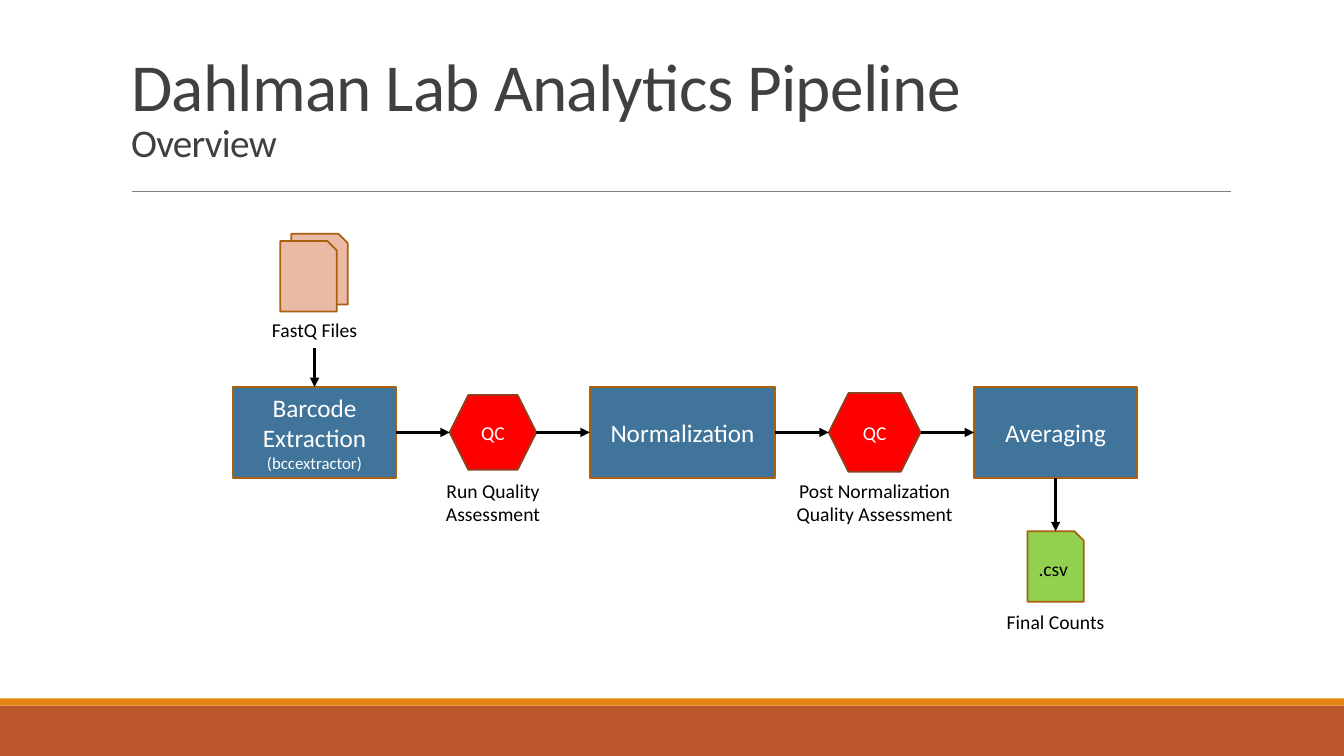
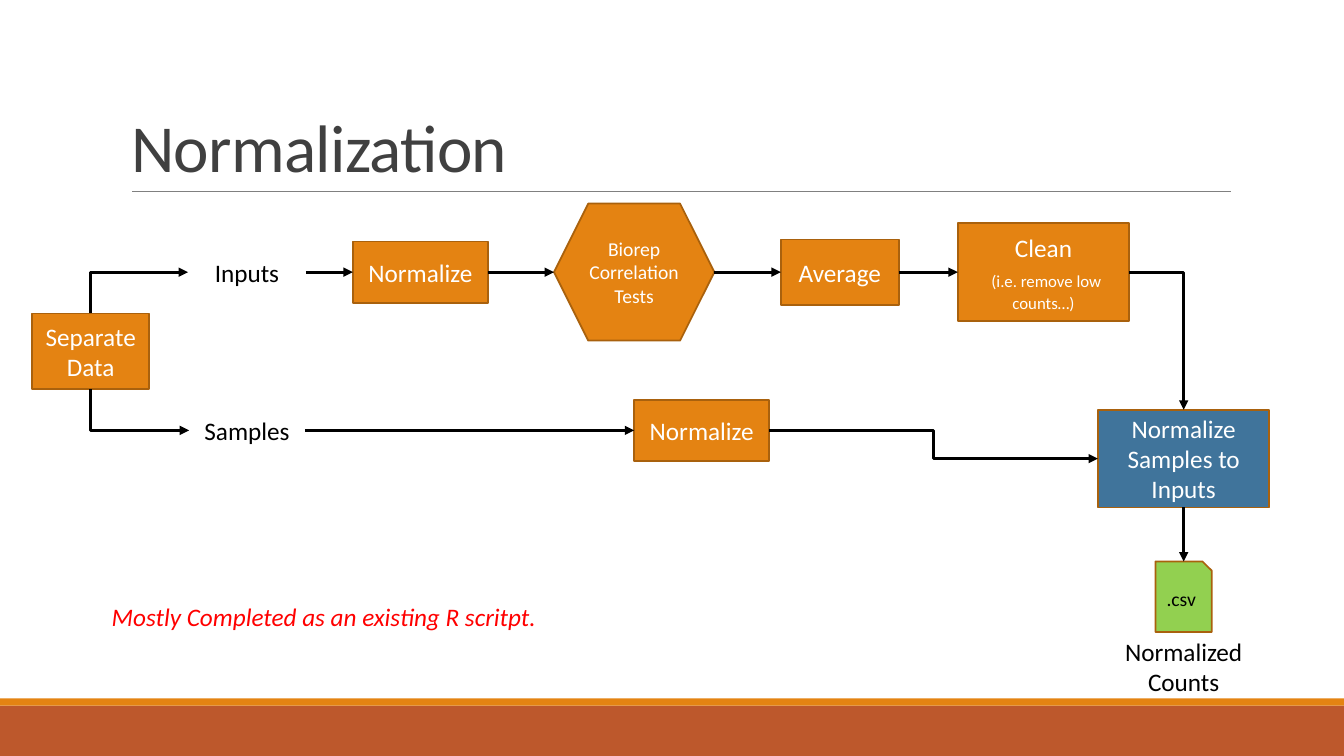
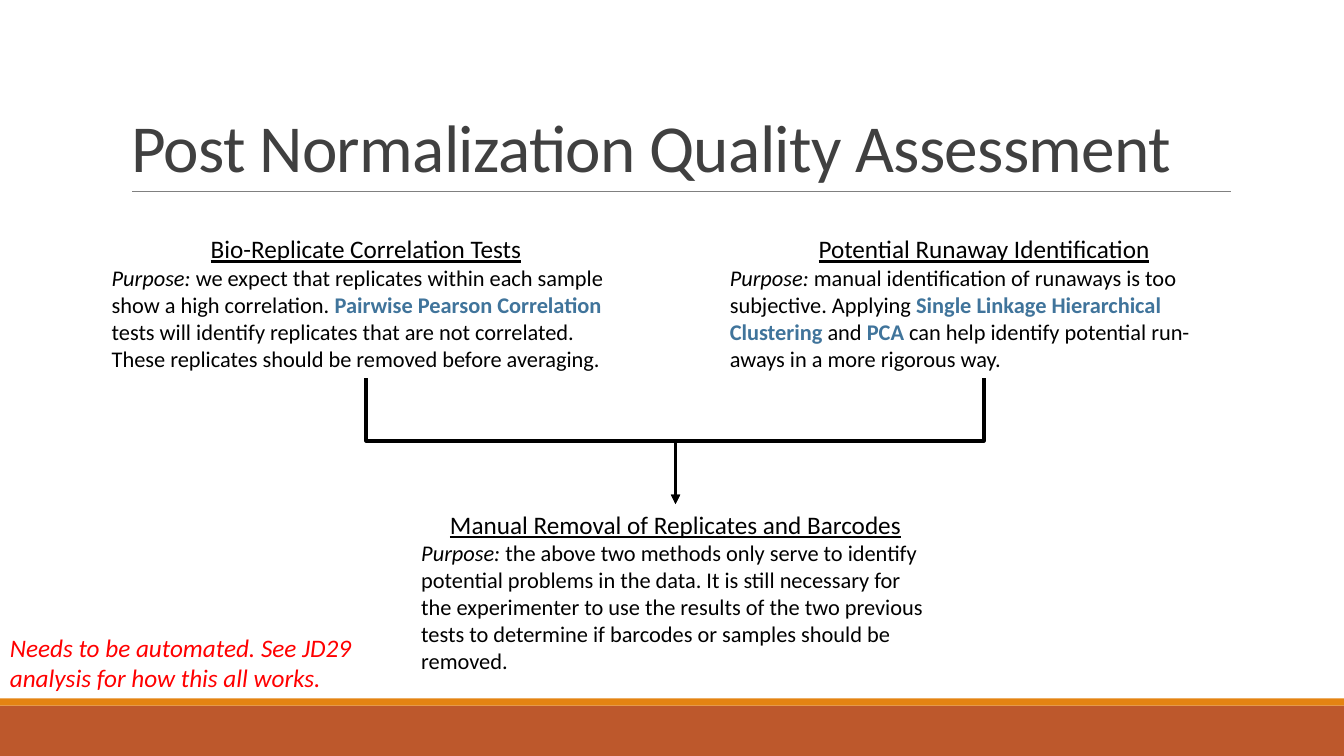
from dataclasses import dataclass
from typing import Optional

import pptx
import pptx.dml.color
import pptx.enum.shapes
import pptx.enum.text
import pptx.oxml.ns
import pptx.oxml.xmlchemy
import pptx.util
from lxml import etree

Inches, Pt = pptx.util.Inches, pptx.util.Pt
RGBColor = pptx.dml.color.RGBColor
Geometry = pptx.enum.shapes.MSO_SHAPE
Connector = pptx.enum.shapes.MSO_CONNECTOR
Align = pptx.enum.text.PP_ALIGN
Anchor = pptx.enum.text.MSO_ANCHOR
AutoSize = pptx.enum.text.MSO_AUTO_SIZE
qn = pptx.oxml.ns.qn

# Shared colours and font
RUST = RGBColor(0xBD, 0x58, 0x2C)
ORANGE = RGBColor(0xE4, 0x83, 0x12)
BROWN = RGBColor(0xA9, 0x61, 0x0D)
DARK_BROWN = RGBColor(0x8C, 0x41, 0x21)
PEACH = RGBColor(0xEA, 0xBA, 0xA5)
BLUE = RGBColor(0x40, 0x74, 0x9B)
RED = RGBColor(0xFF, 0x00, 0x00)
GREEN = RGBColor(0x92, 0xD0, 0x50)
GREY = RGBColor(0x80, 0x80, 0x80)
CHARCOAL = RGBColor(0x40, 0x40, 0x40)
BLACK = RGBColor(0x00, 0x00, 0x00)
WHITE = RGBColor(0xFF, 0xFF, 0xFF)
FONT = "Calibri"

# Connection sites of a rectangle
TOP, LEFT, BOTTOM, RIGHT = range(4)

Box = tuple[float, float, float, float]


@dataclass(frozen=True)
class Run:
    text: str
    size: float = 18
    color: Optional[RGBColor] = None
    bold: bool = False
    italic: bool = False
    underline: bool = False


@dataclass(frozen=True)
class Paragraph:
    runs: tuple[Run, ...]
    align: Align = Align.CENTER


@dataclass(frozen=True)
class Look:
    geometry: Optional[Geometry] = None  # None is a plain text box
    fill: Optional[RGBColor] = None
    line: RGBColor = BROWN
    ink: RGBColor = BLACK


LABEL = Look()
NOTE = Look(ink=RED)
STAGE = Look(Geometry.RECTANGLE, BLUE, ink=WHITE)
STEP = Look(Geometry.RECTANGLE, ORANGE, ink=WHITE)
CHECK = Look(Geometry.HEXAGON, RED, DARK_BROWN, WHITE)
TEST = Look(Geometry.HEXAGON, ORANGE, ink=WHITE)
READS_FILE = Look(Geometry.SNIP_1_RECTANGLE, PEACH)
COUNTS_FILE = Look(Geometry.SNIP_1_RECTANGLE, GREEN)


def centred(x: float, y: float, width: float, height: float) -> Box:
    return x - width / 2, y - height / 2, width, height


def lines(*texts: str, size: float = 18) -> tuple[Paragraph, ...]:
    return tuple(Paragraph((Run(text, size),)) for text in texts)


def write(paragraph, text: str, *, size: float, color: RGBColor, bold: bool = False,
          italic: bool = False, underline: bool = False, spacing: float = 0) -> None:
    run = paragraph.add_run()
    run.text = text
    font = run.font
    font.name, font.size = FONT, Pt(size)
    font.bold, font.italic, font.underline = bold, italic, underline
    font.color.rgb = color
    if spacing:
        run.font._element.set("spc", str(round(spacing * 100)))


def draw(slide, look: Look, box: Box, paragraphs: tuple[Paragraph, ...] = (),
         wrap: bool = True):
    """Draw one box, hexagon, file or label with its text."""
    place = [Inches(value) for value in box]
    if look.geometry is None:
        node = slide.shapes.add_textbox(*place)
    else:
        node = slide.shapes.add_shape(look.geometry, *place)
        node.shadow.inherit = False
        node.fill.solid()
        node.fill.fore_color.rgb = look.fill
        node.line.color.rgb = look.line
        node.line.width = Pt(1.25)
        node.text_frame.vertical_anchor = Anchor.MIDDLE
    frame = node.text_frame
    frame.word_wrap = wrap
    for index, content in enumerate(paragraphs):
        paragraph = frame.add_paragraph() if index else frame.paragraphs[0]
        paragraph.alignment = content.align
        for run in content.runs:
            write(paragraph, run.text, size=run.size, color=run.color or look.ink,
                  bold=run.bold, italic=run.italic, underline=run.underline)
    return node


def side_point(node, side: int) -> tuple[int, int]:
    x = {LEFT: node.left, RIGHT: node.left + node.width}
    y = {TOP: node.top, BOTTOM: node.top + node.height}
    return (x.get(side, node.left + node.width // 2),
            y.get(side, node.top + node.height // 2))


def is_rectangle(node) -> bool:
    return (node.shape_type == pptx.enum.shapes.MSO_SHAPE_TYPE.TEXT_BOX
            or node.auto_shape_type == Geometry.RECTANGLE)


def style_line(connector, color: RGBColor, width: float, arrow: bool) -> None:
    connector.line.color.rgb = color
    connector.line.width = Pt(width)
    properties = connector.element.spPr
    if arrow:
        etree.SubElement(properties.find(qn("a:ln")), qn("a:tailEnd"), type="triangle")
    etree.SubElement(properties, qn("a:effectLst"))


def turn(connector) -> None:
    """Rotate an elbow a quarter turn so that it leaves vertically."""
    dx = connector.end_x - connector.begin_x
    dy = connector.end_y - connector.begin_y
    x = (connector.begin_x + connector.end_x) // 2
    y = (connector.begin_y + connector.end_y) // 2
    angle, across, down = (270, -dy, dx) if dx > 0 else (90, dy, -dx)
    connector.begin_x, connector.end_x = x - across // 2, x + across // 2
    connector.begin_y, connector.end_y = y - down // 2, y + down // 2
    connector.element.spPr.find(qn("a:xfrm")).set("rot", str(angle * 60000))


def link(slide, source, source_side: int, target, target_side: int,
         corners: int = 0) -> None:
    """Draw an arrow between two sides, with zero, one or two corners."""
    kind = Connector.ELBOW if corners else Connector.STRAIGHT
    arrow = slide.shapes.add_connector(kind, *side_point(source, source_side),
                                       *side_point(target, target_side))
    if is_rectangle(source):
        arrow.begin_connect(source, source_side)
    if is_rectangle(target):
        arrow.end_connect(target, target_side)
    if corners == 1:
        arrow.element.spPr.find(qn("a:prstGeom")).set("prst", "bentConnector2")
    if corners and source_side in (TOP, BOTTOM):
        turn(arrow)
    style_line(arrow, BLACK, 2.25, arrow=True)


def dress_layout(layout, slide) -> None:
    """Put the bands, the title rule and the title position on the layout."""
    title = layout.placeholders[0]
    title.left, title.top, title.width, title.height = map(Inches, (1.2, 0.31, 11, 1.59))
    parts = []
    for color, top, height in ((RUST, 7, 0.5), (ORANGE, 6.93, 0.07)):
        band = slide.shapes.add_shape(Geometry.RECTANGLE, 0, Inches(top),
                                      Inches(13.33), Inches(height))
        band.shadow.inherit = False
        band.fill.solid()
        band.fill.fore_color.rgb = color
        band.line.fill.background()
        parts.append(band)
    rule = slide.shapes.add_connector(Connector.STRAIGHT, Inches(1.31), Inches(1.9),
                                      Inches(12.21), Inches(1.9))
    style_line(rule, GREY, 0.5, arrow=False)
    parts.append(rule)
    for index, part in enumerate(parts):
        part.element.xpath(".//p:cNvPr")[0].set("id", str(101 + index))
        layout.shapes.element.insert(2 + index, part.element)


def set_title(slide, text: str, subtitle: str = "") -> None:
    frame = slide.shapes.title.text_frame
    frame.auto_size = AutoSize.NONE
    frame.word_wrap = True
    frame.vertical_anchor = Anchor.MIDDLE if subtitle else Anchor.BOTTOM
    paragraph = frame.paragraphs[0]
    paragraph.alignment = Align.LEFT
    paragraph.line_spacing = 0.85
    write(paragraph, text, size=48, color=CHARCOAL, spacing=-0.5)
    if subtitle:
        paragraph.add_line_break()
        write(paragraph, subtitle, size=28, color=CHARCOAL, spacing=-0.5)


def draw_overview(slide) -> None:
    set_title(slide, "Dahlman Lab Analytics Pipeline", "Overview")
    row, gap, left = 4.29, 0.53, 2.31
    stages = (
        (STAGE, 1.62, 0.9, lines("Barcode Extraction") + lines("(bccextractor)", size=12)),
        (CHECK, 0.86, 0.74, lines("QC", size=14)),
        (STAGE, 1.84, 0.9, lines("Normalization")),
        (CHECK, 0.91, 0.78, lines("QC", size=14)),
        (STAGE, 1.62, 0.9, lines("Averaging")),
    )
    # Main row, evenly spaced and linked left to right
    nodes, centres = [], []
    for look, width, height, text in stages:
        centres.append(left + width / 2)
        nodes.append(draw(slide, look, centred(centres[-1], row, width, height), text))
        left += width + gap
    for source, target in zip(nodes, nodes[1:]):
        link(slide, source, RIGHT, target, LEFT)

    # Input files
    for x, y in ((2.89, 2.32), (2.78, 2.39)):
        draw(slide, READS_FILE, (x, y, 0.56, 0.7))
    fastq = draw(slide, LABEL, centred(centres[0], 3.28, 1.55, 0.34),
                 lines("FastQ Files", size=14))
    link(slide, fastq, BOTTOM, nodes[0], TOP)

    # Captions under the quality checks
    for x, width, text in ((centres[1], 1.15, ("Run Quality", "Assessment")),
                           (centres[3], 1.81, ("Post Normalization", "Quality Assessment"))):
        draw(slide, LABEL, (x - width / 2, 4.7, width, 0.57), lines(*text, size=14),
             wrap=False)

    # Result file
    counts = draw(slide, COUNTS_FILE, centred(centres[4], 5.62, 0.56, 0.7),
                  lines(".csv", size=14))
    link(slide, nodes[4], BOTTOM, counts, TOP)
    draw(slide, LABEL, centred(centres[4], 6.17, 1.55, 0.34),
         lines("Final Counts", size=14))


def draw_normalization(slide) -> None:
    set_title(slide, "Normalization")
    input_row, sample_row, result_x = 2.7, 4.27, 11.74
    separate = draw(slide, STEP, (0.32, 3.11, 1.16, 0.75), lines("Separate", "Data"))

    # Input branch
    clean_text = lines("Clean") + (
        Paragraph((Run(" "), Run("(i.e. remove low counts…)", 12))),)
    branch = [draw(slide, look, centred(x, input_row, width, height), text)
              for look, x, width, height, text in (
                  (LABEL, 2.45, 1.17, 0.4, lines("Inputs")),
                  (STEP, 4.17, 1.34, 0.61, lines("Normalize")),
                  (TEST, 6.29, 1.59, 1.36, lines("Biorep Correlation Tests", size=14)),
                  (STEP, 8.33, 1.17, 0.65, lines("Average")),
                  (STEP, 10.35, 1.7, 0.97, clean_text))]
    for source, target in zip(branch, branch[1:]):
        link(slide, source, RIGHT, target, LEFT)

    # Sample branch
    samples = draw(slide, LABEL, centred(2.45, sample_row, 1.15, 0.4), lines("Samples"))
    normalize = draw(slide, STEP, centred(6.96, sample_row, 1.34, 0.61),
                     lines("Normalize"))
    link(slide, samples, RIGHT, normalize, LEFT)
    link(slide, separate, TOP, branch[0], LEFT, corners=1)
    link(slide, separate, BOTTOM, samples, LEFT, corners=1)

    # Branches meet
    combine = draw(slide, STAGE, centred(result_x, 4.55, 1.7, 0.97),
                   lines("Normalize Samples to Inputs"))
    link(slide, normalize, RIGHT, combine, LEFT, corners=2)
    link(slide, branch[-1], RIGHT, combine, TOP, corners=1)
    counts = draw(slide, COUNTS_FILE, centred(result_x, 5.92, 0.56, 0.7),
                  lines(".csv", size=14))
    link(slide, combine, BOTTOM, counts, TOP)
    draw(slide, LABEL, centred(result_x, 6.62, 1.64, 0.71), lines("Normalized Counts"))

    draw(slide, NOTE, (1.01, 5.92, 4.7, 0.4), (Paragraph(
        (Run("Mostly Completed as an existing R scritpt.", italic=True),), Align.LEFT),))


def purpose(heading: str, *runs: Run) -> tuple[Paragraph, ...]:
    return (Paragraph((Run(heading, underline=True),)),
            Paragraph((Run("Purpose: ", 16, italic=True),) + runs, Align.LEFT))


def plain(text: str) -> Run:
    return Run(text, 16)


def method(text: str) -> Run:
    return Run(text, 16, BLUE, bold=True)


def draw_assessment(slide) -> None:
    set_title(slide, "Post Normalization Quality Assessment")
    width = 5.24
    correlation = draw(slide, LABEL, (1.01, 2.27, width, 1.48), purpose(
        "Bio-Replicate Correlation Tests",
        plain("we expect that replicates within each sample show a high correlation. "),
        method("Pairwise Pearson Correlation "),
        plain("tests will identify replicates that are not correlated. "
              "These replicates should be removed before averaging.")))
    runaways = draw(slide, LABEL, (7.14, 2.27, width, 1.48), purpose(
        "Potential Runaway Identification",
        plain("manual identification of runaways is too subjective. Applying "),
        method("Single Linkage Hierarchical Clustering"),
        plain(" and "),
        method("PCA"),
        plain(" can help identify potential run-aways in a more rigorous way.")))
    removal = draw(slide, LABEL, (4.08, 5, width, 1.75), purpose(
        "Manual Removal of Replicates and Barcodes",
        plain("the above two methods only serve to identify potential problems in the "
              "data. It is still necessary for the experimenter to use the results of "
              "the two previous tests to determine if barcodes or samples should be "
              "removed.")))
    for source in (correlation, runaways):
        link(slide, source, BOTTOM, removal, TOP, corners=2)

    draw(slide, NOTE, (0, 6.22, 3.74, 0.71), (Paragraph(
        (Run("Needs to be automated. See JD29 analysis for how this all works.",
             italic=True),), Align.LEFT),))


def main() -> None:
    deck = pptx.Presentation()
    deck.slide_width, deck.slide_height = Inches(13.33), Inches(7.5)
    layout = deck.slide_layouts[5]  # title only
    for number, draw_content in enumerate(
            (draw_overview, draw_normalization, draw_assessment)):
        slide = deck.slides.add_slide(layout)
        if number == 0:
            dress_layout(layout, slide)
        draw_content(slide)
    deck.save("out.pptx")


if __name__ == "__main__":
    main()
